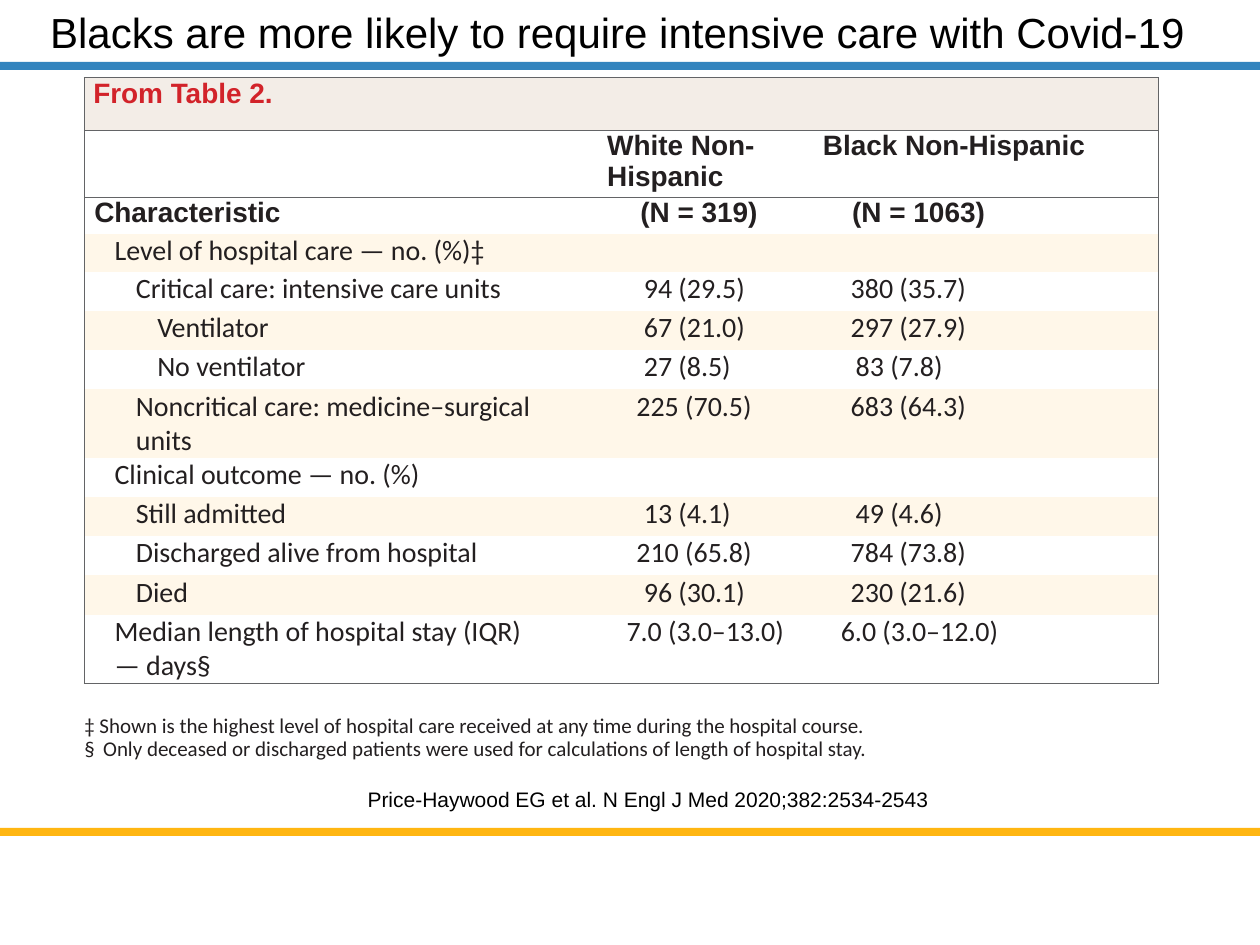
from dataclasses import dataclass

from lxml import etree
from pptx import Presentation
from pptx.dml.color import RGBColor
from pptx.enum.shapes import MSO_SHAPE
from pptx.enum.text import MSO_ANCHOR, PP_ALIGN
from pptx.oxml.ns import qn
from pptx.util import Cm, Pt

RECTANGLE = MSO_SHAPE.RECTANGLE
LEFT = PP_ALIGN.LEFT
TOP = MSO_ANCHOR.TOP


@dataclass(frozen=True)
class Theme:
    heading_font: str = "Arial"
    body_font: str = "Calibri"
    title_size: int = 24
    table_size: int = 16
    note_size: int = 12
    black: str = "000000"
    ink: str = "231F20"
    red: str = "D2232A"
    header_fill: str = "F3EDE7"
    band_fill: str = "FFF7E9"
    border: str = "636466"
    blue: str = "3284BE"
    gold: str = "FFB612"


THEME = Theme()

# Table geometry in centimetres
COLUMN_WIDTHS = (9.3, 5.21, 7.14)
TITLE_ROW, HEADER_ROW, COUNT_ROW, SECTION_ROW = 1.06, 1.35, 0.74, 0.76
SINGLE_ROW, DOUBLE_ROW = 0.79, 1.37
LEVELS = (0.61, 1.04, 1.47)
HEADER_ROWS = 3

# Each row: height, then (text, left indent) for each filled column
ROWS = (
    (TITLE_ROW, ("From Table 2.", 0.18)),
    (HEADER_ROW, ("", 0), ("White Non-Hispanic", 1.24), ("Black Non-Hispanic", 0.38)),
    (COUNT_ROW, ("Characteristic", 0.2), ("(N = 319)", 1.91), ("(N = 1063)", 0.97)),
    (SECTION_ROW, ("Level of hospital care — no. (%)‡", LEVELS[0])),
    (SINGLE_ROW, ("Critical care: intensive care units", LEVELS[1]),
     ("94 (29.5)", 1.98), ("380 (35.7)", 0.94)),
    (SINGLE_ROW, ("Ventilator", LEVELS[2]), ("67 (21.0)", 1.98), ("297 (27.9)", 0.94)),
    (SINGLE_ROW, ("No ventilator", LEVELS[2]), ("27 (8.5)", 1.98), ("83 (7.8)", 1.04)),
    (DOUBLE_ROW, ("Noncritical care: medicine–surgical units", LEVELS[1]),
     ("225 (70.5)", 1.83), ("683 (64.3)", 0.94)),
    (SINGLE_ROW, ("Clinical outcome — no. (%)", LEVELS[0])),
    (SINGLE_ROW, ("Still admitted", LEVELS[1]), ("13 (4.1)", 1.98), ("49 (4.6)", 1.04)),
    (SINGLE_ROW, ("Discharged alive from hospital", LEVELS[1]),
     ("210 (65.8)", 1.83), ("784 (73.8)", 0.94)),
    (SINGLE_ROW, ("Died", LEVELS[1]), ("96 (30.1)", 1.98), ("230 (21.6)", 0.94)),
    (DOUBLE_ROW, ("Median length of hospital stay (IQR) — days§", LEVELS[0]),
     ("7.0 (3.0–13.0)", 1.63), ("6.0 (3.0–12.0)", 0.74)),
)

FOOTNOTES = (
    "‡ Shown is the highest level of hospital care received at any time during the hospital course.",
    "§\tOnly deceased or discharged patients were used for calculations of length of hospital stay.",
)


def color(value):
    return RGBColor.from_string(value)


def format_runs(paragraph, font, size, text_color, bold=False):
    for run in paragraph.runs:
        run.font.name = font
        run.font.size = Pt(size)
        run.font.bold = bold
        run.font.color.rgb = color(text_color)


def set_margins(target, left=0, top=0, right=0, bottom=0):
    target.margin_left, target.margin_top = Cm(left), Cm(top)
    target.margin_right, target.margin_bottom = Cm(right), Cm(bottom)


def add_title(slide, box, text):
    title = slide.shapes.title
    title.left, title.top, title.width, title.height = map(Cm, box)
    frame = title.text_frame
    frame.text = text
    frame.word_wrap = False
    frame.vertical_anchor = TOP
    set_margins(frame, 0.25, 0.13, 0.25, 0.13)
    frame.paragraphs[0].alignment = LEFT
    format_runs(frame.paragraphs[0], THEME.heading_font, THEME.title_size, THEME.black)


def add_rule(slide, box, fill):
    rule = slide.shapes.add_shape(RECTANGLE, *map(Cm, box))
    rule.shadow.inherit = False
    rule.fill.solid()
    rule.fill.fore_color.rgb = color(fill)
    rule.line.fill.background()


def set_borders(cell, widths):
    """Draw the sides L, R, T and B; a width of zero hides the side."""
    properties = cell._tc.get_or_add_tcPr()
    for side, width in zip("LRTB", widths):
        line = etree.SubElement(properties, qn(f"a:ln{side}"), w=str(Pt(width)))
        if width:
            fill = etree.SubElement(line, qn("a:solidFill"))
            etree.SubElement(fill, qn("a:srgbClr"), val=THEME.border)
        else:
            etree.SubElement(line, qn("a:noFill"))


def fill_row(cell, row_index):
    if row_index == 0:
        fill = THEME.header_fill
    elif row_index >= HEADER_ROWS and row_index % 2:
        fill = THEME.band_fill
    else:
        cell.fill.background()
        return
    cell.fill.solid()
    cell.fill.fore_color.rgb = color(fill)


def add_care_table(slide, left, top):
    last_row, last_column = len(ROWS) - 1, len(COLUMN_WIDTHS) - 1
    height = sum(row[0] for row in ROWS)
    table = slide.shapes.add_table(
        len(ROWS), len(COLUMN_WIDTHS), Cm(left), Cm(top),
        Cm(sum(COLUMN_WIDTHS)), Cm(height)).table
    table.first_row = table.horz_banding = False
    for column, width in zip(table.columns, COLUMN_WIDTHS):
        column.width = Cm(width)

    for row_index, (row_height, *entries) in enumerate(ROWS):
        table.rows[row_index].height = Cm(row_height)
        spans_row = len(entries) == 1
        if spans_row:
            table.cell(row_index, 0).merge(table.cell(row_index, last_column))
        above = {0: 0.75, 1: 0.5, 2: 0.5}.get(row_index, 0)
        below = {0: 0.5, 1: 0.5, last_row: 0.75}.get(row_index, 0)
        for column_index in range(last_column + 1):
            cell = table.cell(row_index, column_index)
            set_margins(cell)
            at_right = spans_row or column_index == last_column
            set_borders(cell, (0 if column_index else 0.75,
                               0.75 if at_right else 0, above, below))
            fill_row(cell, row_index)

        # Text of the row
        is_header = row_index < HEADER_ROWS
        font = THEME.heading_font if is_header else THEME.body_font
        text_color = THEME.ink if row_index else THEME.red
        for column_index, (text, indent) in enumerate(entries):
            paragraph = table.cell(row_index, column_index).text_frame.paragraphs[0]
            paragraph.text = text
            paragraph._p.get_or_add_pPr().set("marL", str(Cm(indent)))
            format_runs(paragraph, font, THEME.table_size, text_color, is_header)


def add_footnotes(slide, box):
    frame = slide.shapes.add_textbox(*map(Cm, box)).text_frame
    frame.word_wrap = True
    set_margins(frame, top=0.23)
    frame.text = "\n".join(FOOTNOTES)
    for paragraph in frame.paragraphs:
        paragraph.line_spacing = Pt(13.7)
        tabs = etree.SubElement(paragraph._p.get_or_add_pPr(), qn("a:tabLst"))
        etree.SubElement(tabs, qn("a:tab"), pos=str(Cm(0.38)), algn="l")
        format_runs(paragraph, THEME.body_font, THEME.note_size, THEME.ink)


def add_citation(slide, box, text):
    frame = slide.shapes.add_textbox(*map(Cm, box)).text_frame
    frame.word_wrap = True
    frame.text = text
    frame.paragraphs[0].line_spacing = 0.97
    format_runs(frame.paragraphs[0], THEME.heading_font, THEME.note_size, THEME.black)


def main():
    presentation = Presentation()
    presentation.slide_width, presentation.slide_height = Cm(25.4), Cm(19.05)
    slide = presentation.slides.add_slide(presentation.slide_layouts[5])

    add_rule(slide, (0, 16.69, 25.4, 0.16), THEME.gold)
    add_rule(slide, (0, 1.25, 25.4, 0.16), THEME.blue)
    add_title(slide, (0.76, 0, 23.88, 1.27),
              "Blacks are more likely to require intensive care with Covid-19")
    add_care_table(slide, 1.7, 1.57)
    add_footnotes(slide, (1.7, 14.15, 23.6, 1.24))
    add_citation(slide, (7.16, 15.77, 12.7, 0.76),
                 "Price-Haywood EG et al. N Engl J Med 2020;382:2534-2543")
    presentation.save("out.pptx")


if __name__ == "__main__":
    main()
